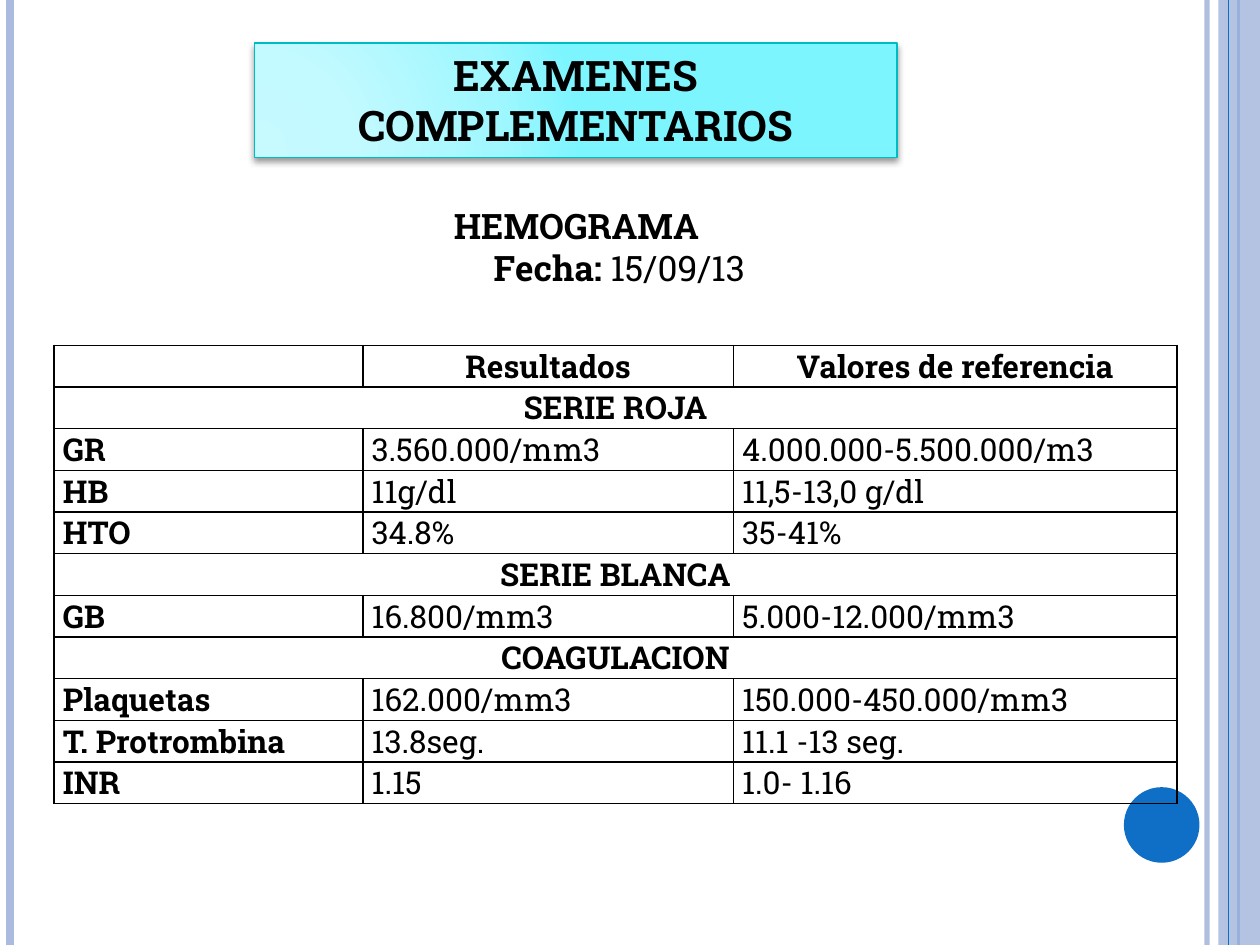
from typing import NamedTuple

from lxml.etree import SubElement
from pptx import Presentation
from pptx.dml.color import RGBColor
from pptx.enum.shapes import MSO_CONNECTOR as Connector, MSO_SHAPE as Shape
from pptx.enum.text import MSO_ANCHOR as Anchor, PP_ALIGN as Align
from pptx.oxml import parse_xml
from pptx.oxml.ns import nsdecls, qn
from pptx.util import Inches, Pt


class Theme:
    font = "Roboto Slab"
    text = "000000"
    band = "ABBBDF"
    accent = "0F6FC6"
    title_line = "00BBC3"
    title_stops = ((0, "C7FAFF"), (30, "C2FAFF"), (75, "A0F7FF"), (100, "7DF5FF"))
    title_size, heading_size, table_size = 24, 20, 18


class Box(NamedTuple):
    left: float
    top: float
    width: float
    height: float

    def emu(self):
        return [Inches(length) for length in self]


SLIDE = Box(0, 0, 10, 7.5)
TITLE = Box(2.02, 0.34, 5.1, 0.91)
HEADING = Box(1.9, 1.23, 5.35, 1.45)
TABLE = Box(0.43, 2.74, 8.91, 3.63)

COLUMN_SHARES = (0.275, 0.33, 0.395)
# A row with a single entry is a section heading across the table
BLOOD_COUNT = (
    ("", "Resultados", "Valores de referencia"),
    ("SERIE ROJA",),
    ("GR", "3.560.000/mm3", "4.000.000-5.500.000/m3"),
    ("HB", "11g/dl", "11,5-13,0 g/dl"),
    ("HTO", "34.8%", "35-41%"),
    ("SERIE BLANCA",),
    ("GB", "16.800/mm3", "5.000-12.000/mm3"),
    ("COAGULACION",),
    ("Plaquetas", "162.000/mm3", "150.000-450.000/mm3"),
    ("T. Protrombina", "13.8seg.", "11.1 -13 seg."),
    ("INR", "1.15", "1.0- 1.16"),
)


def style(paragraph, size, align, bold=True):
    paragraph.alignment = align
    font = paragraph.font
    font.name, font.size, font.bold = Theme.font, Pt(size), bold
    font.color.rgb = RGBColor.from_string(Theme.text)


def set_opacity(fill_owner, percent):
    color = fill_owner.find(".//" + qn("a:srgbClr"))
    SubElement(color, qn("a:alpha"), val=str(percent * 1000))


def add_vertical_rule(slide, box, x_share, color, width, opacity=100):
    x = Inches(box.left + box.width * x_share)
    rule = slide.shapes.add_connector(
        Connector.STRAIGHT, x, Inches(box.top), x, Inches(box.top + box.height))
    rule.line.color.rgb = RGBColor.from_string(color)
    rule.line.width = Pt(width)
    if opacity < 100:
        set_opacity(rule.line._ln, opacity)
    SubElement(rule._element.spPr, qn("a:effectLst"))


def add_solid(slide, preset, box, color):
    solid = slide.shapes.add_shape(preset, *box.emu())
    solid.shadow.inherit = False
    solid.fill.solid()
    solid.fill.fore_color.rgb = RGBColor.from_string(color)
    solid.line.fill.background()
    return solid


def add_frame(slide, box):
    # Rules and band along the slide edges
    add_vertical_rule(slide, box, 0.958, Theme.band, 3, 93)
    add_vertical_rule(slide, box, 0.008, Theme.band, 4.5)
    add_vertical_rule(slide, box, 0.983, Theme.accent, 1.5)
    band_width = box.width * 0.033
    band = add_solid(slide, Shape.RECTANGLE, Box(
        box.left + box.width - band_width, box.top, band_width, box.height), Theme.band)
    set_opacity(band._element.spPr, 87)
    add_vertical_rule(slide, box, 0.975, Theme.accent, 0.75)
    # Corner disc
    diameter = box.width * 0.06
    add_solid(slide, Shape.OVAL, Box(
        box.left + box.width * 0.892, box.top + box.height * 0.833,
        diameter, diameter), Theme.accent)


def fill_title(slide, box):
    title = slide.shapes.title
    title.left, title.top, title.width, title.height = box.emu()
    # Radial gradient, outline and soft shadow
    stops = "".join(
        f'<a:gs pos="{position * 1000}"><a:srgbClr val="{color}"/></a:gs>'
        for position, color in Theme.title_stops)
    properties = title._element.spPr
    properties.append(parse_xml(f'<a:prstGeom {nsdecls("a")} prst="rect"><a:avLst/></a:prstGeom>'))
    properties.append(parse_xml(
        f'<a:gradFill {nsdecls("a")} rotWithShape="1"><a:gsLst>{stops}</a:gsLst>'
        '<a:path path="circle"><a:fillToRect l="5000" t="100000" r="120000" b="10000"/>'
        '</a:path></a:gradFill>'))
    title.line.color.rgb = RGBColor.from_string(Theme.title_line)
    title.line.width = Pt(1)
    properties.append(parse_xml(
        f'<a:effectLst {nsdecls("a")}><a:outerShdw blurRad="{Pt(4)}" dist="{Pt(2)}" '
        'dir="5400000" rotWithShape="0"><a:srgbClr val="000000"><a:alpha val="40000"/>'
        '</a:srgbClr></a:outerShdw></a:effectLst>'))
    # Title text
    frame = title.text_frame
    frame.text = "EXAMENES COMPLEMENTARIOS"
    frame.word_wrap = True
    frame.vertical_anchor = Anchor.TOP
    style(frame.paragraphs[0], Theme.title_size, Align.CENTER)


def add_heading(slide, box):
    frame = slide.shapes.add_textbox(*box.emu()).text_frame
    frame.word_wrap = True
    frame.vertical_anchor = Anchor.MIDDLE
    heading = frame.paragraphs[0]
    heading.text = "HEMOGRAMA"
    style(heading, Theme.heading_size, Align.CENTER)
    # Date line, shifted right of the heading
    date = frame.add_paragraph()
    date.add_run().text = "Fecha: "
    day = date.add_run()
    day.text = "15/09/13"
    style(date, Theme.heading_size, Align.CENTER)
    day.font.bold = False
    date._p.get_or_add_pPr().set("marL", str(Inches(0.68)))


def format_cell(cell):
    cell.margin_left = cell.margin_right = Inches(0.07)
    cell.margin_top = cell.margin_bottom = 0
    for side in ("lnL", "lnR", "lnT", "lnB"):
        border = SubElement(cell._tc.get_or_add_tcPr(), qn(f"a:{side}"), w=str(Pt(1)))
        SubElement(SubElement(border, qn("a:solidFill")), qn("a:srgbClr"), val=Theme.text)
    cell.fill.background()


def add_blood_count(slide, box):
    table = slide.shapes.add_table(
        len(BLOOD_COUNT), len(COLUMN_SHARES), *box.emu()).table
    table.first_row = table.horz_banding = False
    for column, share in zip(table.columns, COLUMN_SHARES):
        column.width = Inches(box.width * share)
    for row, entries in enumerate(BLOOD_COUNT):
        table.rows[row].height = Inches(box.height / len(BLOOD_COUNT))
        for column in range(len(COLUMN_SHARES)):
            format_cell(table.cell(row, column))
        is_section = len(entries) == 1
        if is_section:
            table.cell(row, 0).merge(table.cell(row, len(COLUMN_SHARES) - 1))
        is_heading = row == 0 or is_section
        for column, entry in enumerate(entries):
            paragraph = table.cell(row, column).text_frame.paragraphs[0]
            if entry:
                paragraph.text = entry
            style(paragraph, Theme.table_size,
                  Align.CENTER if is_heading else Align.JUSTIFY,
                  bold=is_heading or column == 0)


def main():
    deck = Presentation()
    deck.slide_width, deck.slide_height = Inches(SLIDE.width), Inches(SLIDE.height)
    slide = deck.slides.add_slide(deck.slide_layouts.get_by_name("Title Only"))
    add_frame(slide, SLIDE)
    add_blood_count(slide, TABLE)
    add_heading(slide, HEADING)
    fill_title(slide, TITLE)
    deck.save("out.pptx")


if __name__ == "__main__":
    main()
